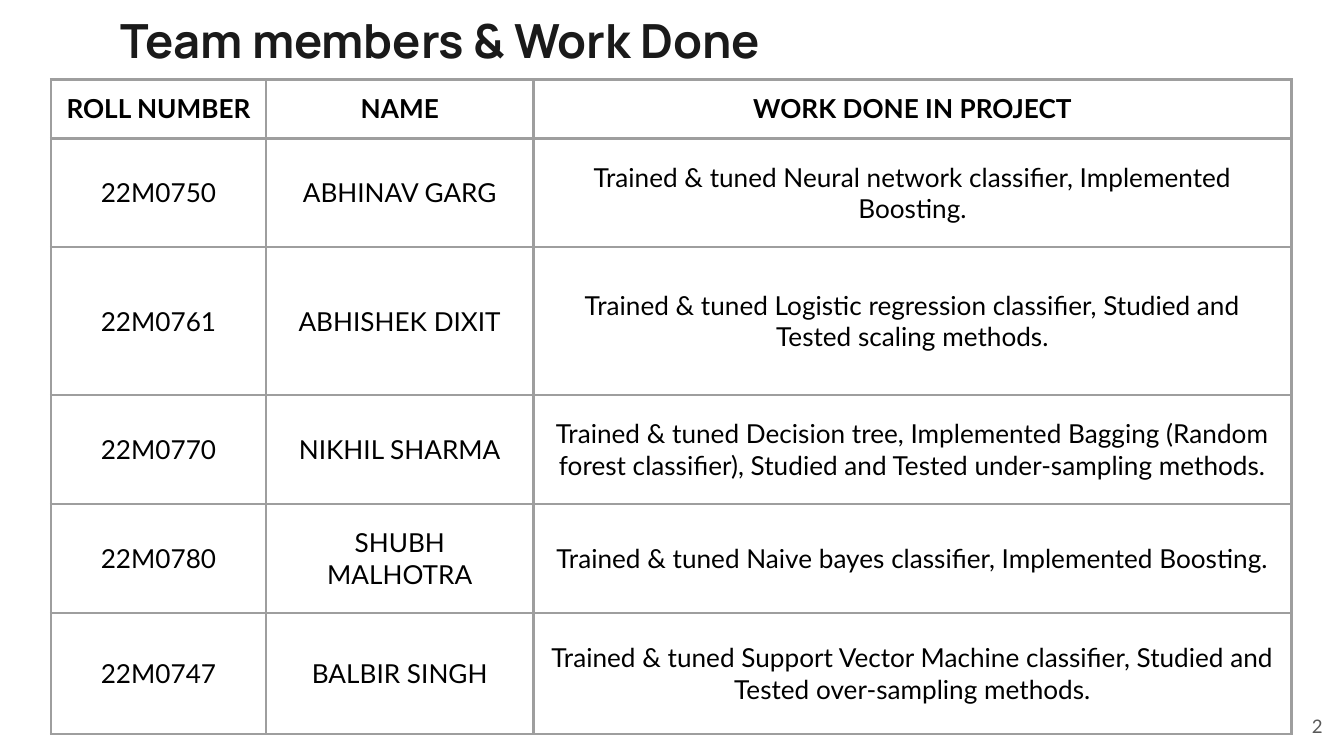
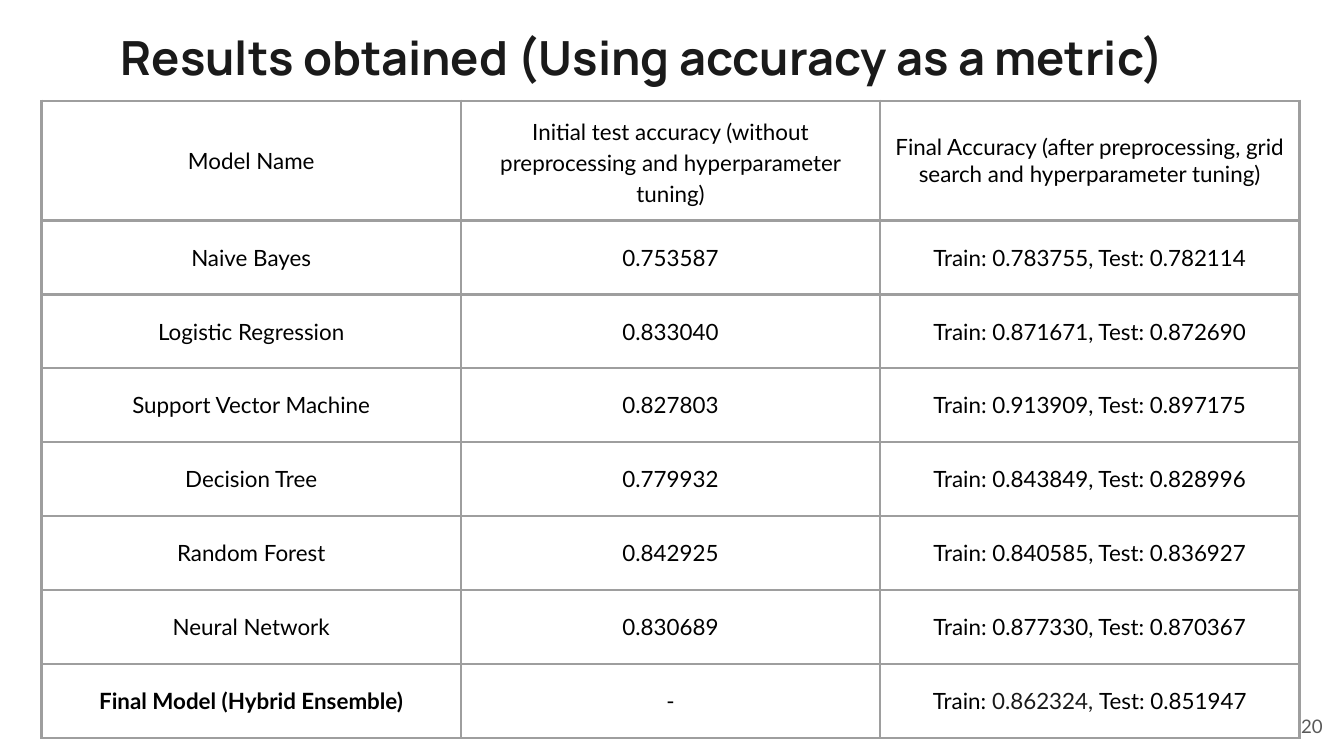
import pptx
import pptx.dml.color
import pptx.enum.text
import pptx.oxml
import pptx.oxml.ns
import pptx.util

WIDTH, HEIGHT = 10, 5.625
INK, BLACK, GREY, RULE = "1A1A1A", "000000", "595959", "9E9E9E"
HEADING_FONT, BODY_FONT = "Manrope", "Lato"
INSET = 0.1
BORDER = 1.5
ALIGN = pptx.enum.text.PP_ALIGN
ANCHOR = pptx.enum.text.MSO_ANCHOR

TEAM = [
    ("ROLL NUMBER", "NAME", "WORK DONE IN PROJECT"),
    ("22M0750", "ABHINAV GARG",
     "Trained & tuned Neural network classifier, Implemented Boosting."),
    ("22M0761", "ABHISHEK DIXIT",
     "Trained & tuned Logistic regression classifier, Studied and Tested scaling methods."),
    ("22M0770", "NIKHIL SHARMA",
     "Trained & tuned Decision tree, Implemented Bagging (Random forest classifier), "
     "Studied and Tested under-sampling methods."),
    ("22M0780", "SHUBH MALHOTRA",
     "Trained & tuned Naive bayes classifier, Implemented Boosting."),
    ("22M0747", "BALBIR SINGH",
     "Trained & tuned Support Vector Machine classifier, Studied and Tested "
     "over-sampling methods."),
]

RESULTS = [
    ("Model Name",
     "Initial test accuracy (without preprocessing and hyperparameter tuning)",
     "Final Accuracy (after preprocessing, grid search and hyperparameter tuning)"),
    ("Naive Bayes", "0.753587", "Train: 0.783755, Test: 0.782114"),
    ("Logistic Regression", "0.833040", "Train: 0.871671, Test: 0.872690"),
    ("Support Vector Machine", "0.827803", "Train: 0.913909, Test: 0.897175"),
    ("Decision Tree", "0.779932", "Train: 0.843849, Test: 0.828996"),
    ("Random Forest", "0.842925", "Train: 0.840585, Test: 0.836927"),
    ("Neural Network", "0.830689", "Train: 0.877330, Test: 0.870367"),
    ("Final Model (Hybrid Ensemble)", "-",
     ("Train: ", "0.862324, ", "Test: 0.851947")),
]

SLIDES = [
    dict(title="Team members & Work Done", title_top=0, title_anchor=ANCHOR.MIDDLE,
         number="2", rows=TEAM, corner=(0.38, 0.59), columns=[1.6, 1.99, 5.64],
         heights=[0.44, 0.81, 1.1, 0.81, 0.81, 0.9], size=14,
         bold={(0, column) for column in range(3)}, spaced=set()),
    dict(title="Results obtained (Using accuracy as a metric)", title_top=0.11,
         title_anchor=ANCHOR.TOP, number="20", rows=RESULTS, corner=(0.31, 0.75),
         columns=[3.12] * 3, heights=[0.55] * len(RESULTS), size=12,
         bold={(len(RESULTS) - 1, 0)}, spaced={(0, 1)}),
]


def inches(*lengths):
    return [pptx.util.Inches(length) for length in lengths]


def colour(value):
    return pptx.dml.color.RGBColor.from_string(value)


def style(run, font, size, ink, bold=False):
    run.font.name = font
    run.font.size = pptx.util.Pt(size)
    run.font.bold = bold
    run.font.color.rgb = colour(ink)


def add_label(slide, text, box, anchor, align, *look):
    frame = slide.shapes.add_textbox(*inches(*box)).text_frame
    frame.word_wrap = True
    frame.vertical_anchor = anchor
    frame.margin_left = frame.margin_right = pptx.util.Inches(INSET)
    frame.margin_top = frame.margin_bottom = pptx.util.Inches(INSET)
    frame.text = text
    frame.paragraphs[0].alignment = align
    style(frame.paragraphs[0].runs[0], *look)


def outline(cell):
    properties = cell._tc.get_or_add_tcPr()
    for index, side in enumerate(("lnL", "lnR", "lnT", "lnB")):
        properties.insert(index, pptx.oxml.parse_xml(
            f'<a:{side} {pptx.oxml.ns.nsdecls("a")} w="{pptx.util.Pt(BORDER)}">'
            f'<a:solidFill><a:srgbClr val="{RULE}"/></a:solidFill></a:{side}>'))


def fill_cell(cell, content, size, bold, spaced):
    cell.fill.background()
    outline(cell)
    cell.vertical_anchor = ANCHOR.MIDDLE
    cell.margin_left = cell.margin_right = pptx.util.Inches(INSET)
    cell.margin_top = cell.margin_bottom = pptx.util.Inches(INSET)
    pieces = [content] if isinstance(content, str) else content
    cell.text_frame.text = pieces[0]
    paragraph = cell.text_frame.paragraphs[0]
    for piece in pieces[1:]:
        paragraph.add_run().text = piece
    for index, run in enumerate(paragraph.runs):
        style(run, BODY_FONT, size, INK if index == 1 else BLACK, bold)
    paragraph.alignment = ALIGN.CENTER
    if spaced:
        paragraph.line_spacing = 1.15
        paragraph.space_before = paragraph.space_after = pptx.util.Pt(12)


def add_grid(slide, page):
    rows, columns, heights = page["rows"], page["columns"], page["heights"]
    grid = slide.shapes.add_table(
        len(rows), len(columns),
        *inches(*page["corner"], sum(columns), sum(heights))).table
    grid.first_row = grid.horz_banding = False
    for column, width in zip(grid.columns, columns):
        column.width = pptx.util.Inches(width)
    for row, height in zip(grid.rows, heights):
        row.height = pptx.util.Inches(height)
    for r, contents in enumerate(rows):
        for c, content in enumerate(contents):
            fill_cell(grid.cell(r, c), content, page["size"],
                      (r, c) in page["bold"], (r, c) in page["spaced"])


def main():
    deck = pptx.Presentation()
    deck.slide_width, deck.slide_height = inches(WIDTH, HEIGHT)
    for page in SLIDES:
        slide = deck.slides.add_slide(deck.slide_layouts[6])
        slide.background.fill.solid()
        slide.background.fill.fore_color.rgb = colour("FFFFFF")
        add_label(slide, page["title"], (0.8, page["title_top"], 8.41, 0.59),
                  page["title_anchor"], ALIGN.LEFT, HEADING_FONT, 25.2, INK, True)
        add_label(slide, page["number"], (9.34, 5.19, 0.6, 0.43),
                  ANCHOR.MIDDLE, ALIGN.RIGHT, BODY_FONT, 10, GREY)
        add_grid(slide, page)
    deck.save("out.pptx")


if __name__ == "__main__":
    main()
